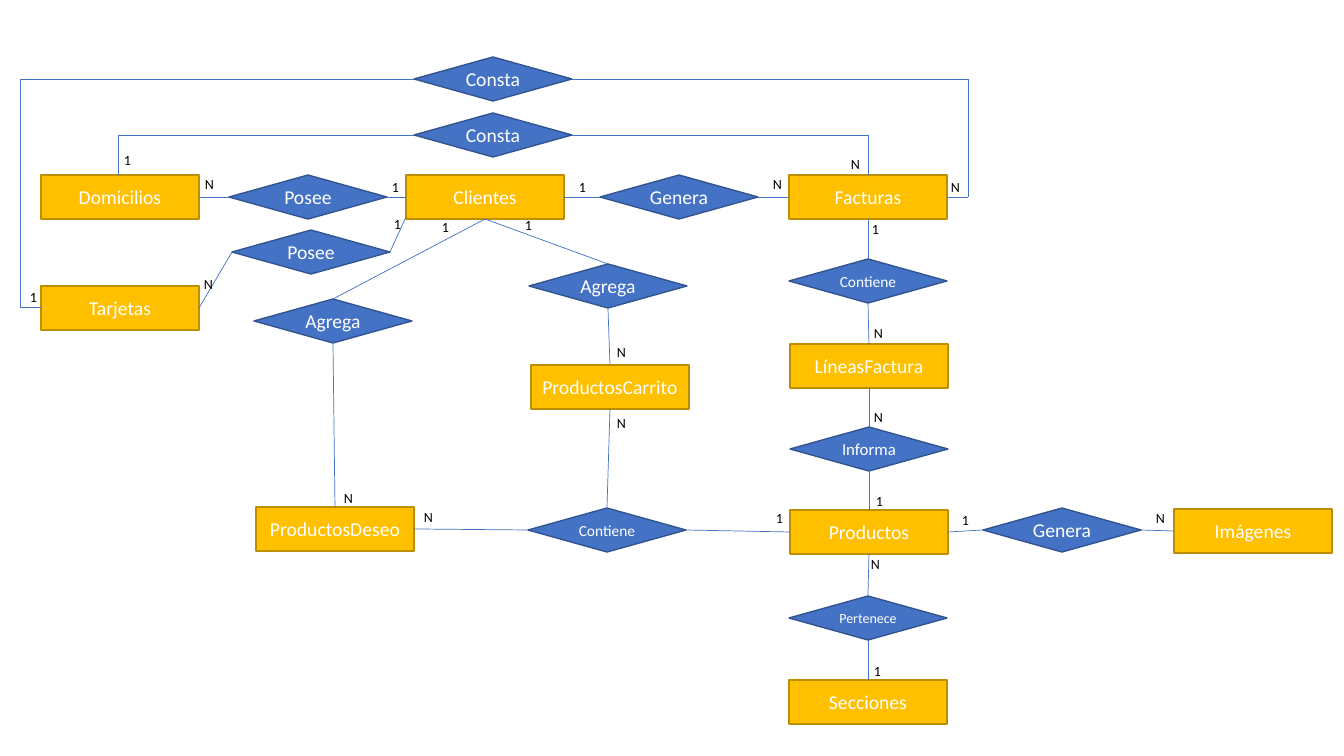
from dataclasses import dataclass
from itertools import pairwise

from lxml.etree import SubElement as add_sub
from pptx import Presentation
from pptx.dml.color import RGBColor as Rgb
from pptx.enum.shapes import MSO_CONNECTOR as Conn, MSO_SHAPE as Form
from pptx.enum.text import MSO_ANCHOR as Anchor, MSO_AUTO_SIZE as Fit, PP_ALIGN as Align
from pptx.oxml.ns import qn
from pptx.util import Emu, Pt

SCALE = 914400 / 100.8
WIDE, HIGH = 158, 44
BLUE = "4472C4"
SIDES = "TLBR"


@dataclass
class Kind:
    form: Form
    fill: str
    edge: str


@dataclass
class Node:
    key: str
    text: str
    kind: Kind
    x: int
    y: int
    size: int = 14


@dataclass
class Link:
    start: str
    out: str
    end: str
    into: str


@dataclass
class Mark:
    text: str
    x: int
    y: int


BOX = Kind(Form.FLOWCHART_PROCESS, "FFC000", "BD8E00")
GEM = Kind(Form.FLOWCHART_DECISION, BLUE, "325491")

NODES = [
    Node("client", "Clientes", BOX, 406, 175),
    Node("bill", "Facturas", BOX, 789, 175),
    Node("row", "LíneasFactura", BOX, 790, 344),
    Node("goods", "Productos", BOX, 790, 510),
    Node("wish", "ProductosDeseo", BOX, 256, 507),
    Node("cart", "ProductosCarrito", BOX, 531, 365),
    Node("part", "Secciones", BOX, 789, 680),
    Node("image", "Imágenes", BOX, 1174, 509),
    Node("home", "Domicilios", BOX, 41, 175),
    Node("card", "Tarjetas", BOX, 41, 286),
    Node("add cart", "Agrega", GEM, 529, 264),
    Node("add wish", "Agrega", GEM, 254, 299),
    Node("make bill", "Genera", GEM, 600, 175),
    Node("make image", "Genera", GEM, 983, 508),
    Node("hold row", "Contiene", GEM, 789, 259, 11),
    Node("hold goods", "Contiene", GEM, 528, 508, 11),
    Node("inform", "Informa", GEM, 790, 427, 12),
    Node("belong", "Pertenece", GEM, 789, 596, 10),
    Node("own home", "Posee", GEM, 229, 175),
    Node("own card", "Posee", GEM, 232, 230),
    Node("list home", "Consta", GEM, 414, 113),
    Node("list card", "Consta", GEM, 414, 57),
]

LINKS = [
    Link("client", "B", "add wish", "T"),
    Link("client", "B", "add cart", "T"),
    Link("add wish", "B", "wish", "T"),
    Link("add cart", "B", "cart", "T"),
    Link("cart", "B", "hold goods", "T"),
    Link("wish", "R", "hold goods", "L"),
    Link("hold goods", "R", "goods", "L"),
    Link("home", "R", "own home", "L"),
    Link("own home", "R", "client", "L"),
    Link("card", "R", "own card", "L"),
    Link("client", "R", "make bill", "L"),
    Link("make bill", "R", "bill", "L"),
    Link("bill", "B", "hold row", "T"),
    Link("hold row", "B", "row", "T"),
    Link("row", "B", "inform", "T"),
    Link("inform", "B", "goods", "T"),
    Link("goods", "B", "belong", "T"),
    Link("belong", "B", "part", "T"),
    Link("goods", "R", "make image", "L"),
    Link("make image", "R", "image", "L"),
]

ROUTES = [
    [(414, 135), (118, 135), (118, 175)],
    [(572, 135), (868, 135), (868, 175)],
    [(414, 79), (20, 79), (20, 307), (41, 307)],
    [(572, 79), (968, 79), (968, 197), (947, 197)],
    [(406, 217), (390, 252)],
]

MARKS = [
    Mark("1", 515, 212), Mark("1", 432, 214), Mark("N", 607, 339),
    Mark("1", 569, 174), Mark("N", 763, 171), Mark("1", 862, 216),
    Mark("N", 864, 320), Mark("1", 866, 488), Mark("1", 864, 658),
    Mark("N", 861, 551), Mark("1", 952, 507), Mark("N", 1146, 505),
    Mark("N", 334, 485), Mark("N", 864, 404), Mark("1", 766, 505),
    Mark("N", 607, 410), Mark("N", 414, 504), Mark("1", 382, 174),
    Mark("N", 195, 171), Mark("1", 114, 147), Mark("N", 841, 151),
    Mark("N", 194, 271), Mark("1", 20, 284), Mark("1", 384, 211),
    Mark("N", 941, 174),
]


def px(num: float) -> Emu:
    return Emu(round(num * SCALE))


def hue(code: str) -> Rgb:
    return Rgb.from_string(code)


def write(frame, text: str, *, size: int, tint: str, align=Align.LEFT,
          anchor=Anchor.TOP, wrap: bool = True, fit=Fit.NONE) -> None:
    frame.word_wrap = wrap
    frame.auto_size = fit
    frame.vertical_anchor = anchor
    para = frame.paragraphs[0]
    para.alignment = align
    run = para.add_run()
    run.text = text
    run.font.name = "Calibri"
    run.font.size = Pt(size)
    run.font.color.rgb = hue(tint)


def draw_node(node: Node):
    shape = shapes.add_shape(node.kind.form, px(node.x), px(node.y), px(WIDE), px(HIGH))
    shape.shadow.inherit = False
    shape.fill.solid()
    shape.fill.fore_color.rgb = hue(node.kind.fill)
    shape.line.color.rgb = hue(node.kind.edge)
    shape.line.width = Pt(1)
    write(shape.text_frame, node.text, size=node.size, tint="FFFFFF",
          align=Align.CENTER, anchor=Anchor.MIDDLE)
    return shape


def draw_line(start: tuple[int, int], end: tuple[int, int]):
    line = shapes.add_connector(Conn.STRAIGHT, *map(px, start + end))
    line.line.color.rgb = hue(BLUE)
    line.line.width = Pt(0.5)
    add_sub(line.element.spPr, qn("a:effectLst"))
    return line


def draw_link(link: Link) -> None:
    line = draw_line((0, 0), (0, 0))
    line.begin_connect(drawn[link.start], SIDES.index(link.out))
    line.end_connect(drawn[link.end], SIDES.index(link.into))


def draw_mark(mark: Mark) -> None:
    width = 29 if mark.text == "N" else 27
    box = shapes.add_textbox(px(mark.x), px(mark.y), px(width), px(27))
    write(box.text_frame, mark.text, size=10, tint="000000", wrap=False,
          fit=Fit.SHAPE_TO_FIT_TEXT)


deck = Presentation()
deck.slide_width, deck.slide_height = px(1344), px(756)
shapes = deck.slides.add_slide(deck.slide_layouts[6]).shapes

drawn = {node.key: draw_node(node) for node in NODES}
for link in LINKS:
    draw_link(link)
for route in ROUTES:
    for start, end in pairwise(route):
        draw_line(start, end)
for mark in MARKS:
    draw_mark(mark)

deck.save("out.pptx")
